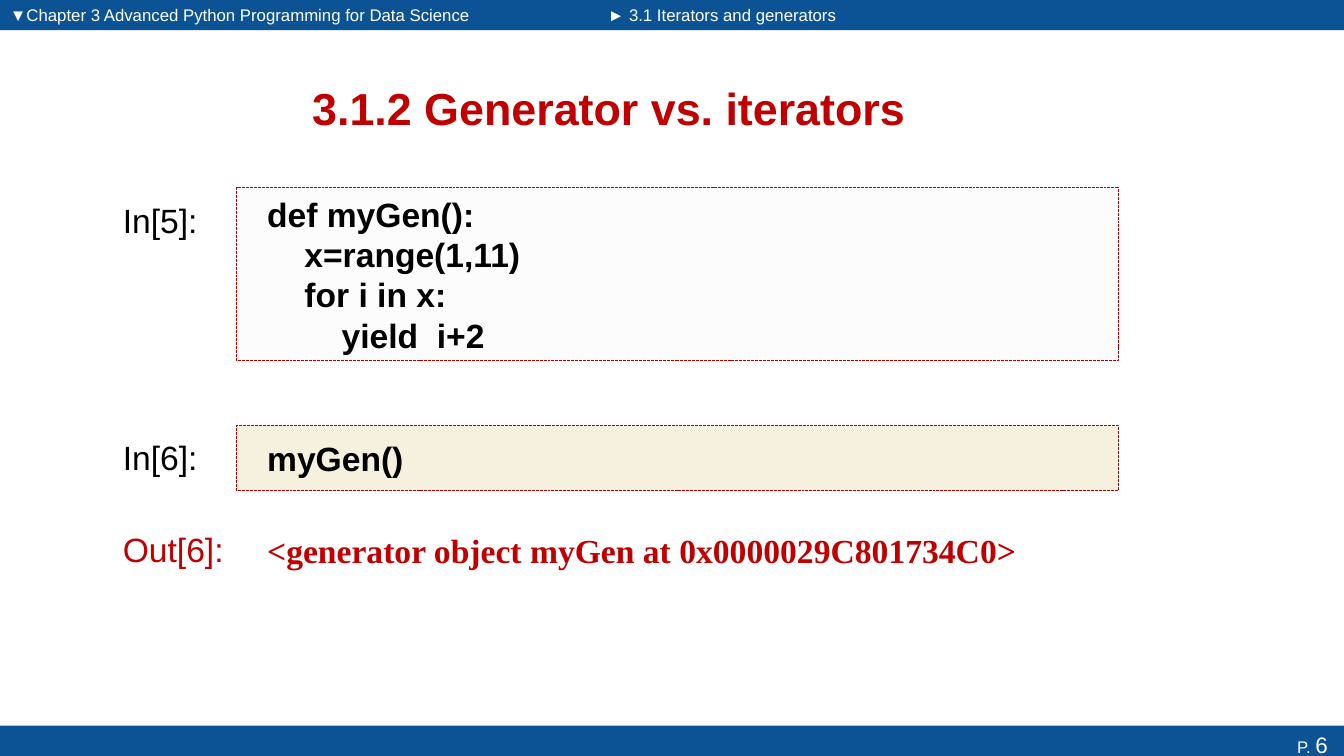
import pptx
import pptx.util
import pptx.dml.color
import pptx.enum.dml
import pptx.enum.shapes
import pptx.enum.text
import pptx.oxml.ns
from lxml import etree

Inches = pptx.util.Inches
Pt = pptx.util.Pt
RGBColor = pptx.dml.color.RGBColor
ALIGN = pptx.enum.text.PP_ALIGN
ANCHOR = pptx.enum.text.MSO_ANCHOR

BLUE = RGBColor(0x0B, 0x53, 0x94)
WHITE = RGBColor(0xFF, 0xFF, 0xFF)
BLACK = RGBColor(0, 0, 0)
RED = RGBColor(0xC0, 0, 0)
EDGE = RGBColor(0xAB, 0, 0)
LILAC = RGBColor(0xF1, 0xEE, 0xF4)
GOLD = RGBColor(0xBF, 0x90, 0)

WIDE = 13.33
SPLIT = 5.93
LEFT = 1.12
CODE_X = 2.35
CODE_W = 8.74


def style(run, size, color, bold=False, face="Arial"):
    run.font.name = face
    run.font.size = Pt(size)
    run.font.color.rgb = color
    run.font.bold = bold


def write(shape, text, size, color, bold=False, face="Arial"):
    frame = shape.text_frame
    frame.word_wrap = True
    frame.text = text
    for para in frame.paragraphs:
        para.alignment = ALIGN.LEFT
        for run in para.runs:
            style(run, size, color, bold, face)


def rect(slide, box, fill):
    shape = slide.shapes.add_shape(
        pptx.enum.shapes.MSO_SHAPE.RECTANGLE, *map(Inches, box))
    shape.shadow.inherit = False
    shape.fill.solid()
    shape.fill.fore_color.rgb = fill
    shape.line.fill.background()
    return shape


def label(slide, box, text, size, color):
    shape = slide.shapes.add_textbox(*map(Inches, box))
    write(shape, text, size, color)


def pad(shape):
    frame = shape.text_frame
    frame.vertical_anchor = ANCHOR.MIDDLE
    frame.margin_left = Inches(0.3)
    frame.margin_right = Inches(0.1)
    frame.margin_top = frame.margin_bottom = Inches(0.05)


def header(slide, box, text, width):
    rect(slide, box, BLUE)
    x, y, _, h = box
    label(slide, (x, y, width, h), text, 12, WHITE)


def footer(slide, box, number):
    bar = rect(slide, box, BLUE)
    frame = bar.text_frame
    frame.vertical_anchor = ANCHOR.TOP
    para = frame.paragraphs[0]
    para.alignment = ALIGN.RIGHT
    for text, size in (("P. ", 12), (number, 16)):
        run = para.add_run()
        run.text = text
        style(run, size, WHITE)


def title(slide, box, text):
    shape = slide.shapes.title
    shape.left, shape.top, shape.width, shape.height = map(Inches, box)
    write(shape, text, 32, RED, True)
    shape.text_frame.vertical_anchor = ANCHOR.MIDDLE
    shape.text_frame.paragraphs[0].alignment = ALIGN.CENTER


def code(slide, top, height, tag, text, fill):
    label(slide, (LEFT, top + 0.07, 1.11, 0.5), tag, 24, BLACK)
    shape = rect(slide, (CODE_X, top, CODE_W, height), fill)
    tint = shape.fill._xPr.find(".//" + pptx.oxml.ns.qn("a:srgbClr"))
    etree.SubElement(tint, pptx.oxml.ns.qn("a:alpha"), val="13000")
    shape.line.color.rgb = EDGE
    shape.line.width = Pt(0.7)
    shape.line.dash_style = pptx.enum.dml.MSO_LINE.SQUARE_DOT
    write(shape, text, 24, BLACK, True)
    pad(shape)


def result(slide, top, height, tag, text):
    label(slide, (LEFT, top + 0.07, 1.35, 0.5), tag, 24, RED)
    shape = slide.shapes.add_textbox(
        *map(Inches, (CODE_X, top, CODE_W, height)))
    write(shape, text, 24, RED, True, "Times New Roman")
    pad(shape)


def main():
    deck = pptx.Presentation()
    deck.slide_width = Inches(WIDE)
    deck.slide_height = Inches(7.5)
    slide = deck.slides.add_slide(deck.slide_layouts.get_by_name("Title Only"))

    header(slide, (0, 0, SPLIT, 0.3),
           "▼Chapter 3 Advanced Python Programming for Data Science", 4.83)
    header(slide, (SPLIT, 0, WIDE - SPLIT, 0.3),
           "► 3.1 Iterators and generators", 2.57)
    footer(slide, (0, 7.2, WIDE, 0.37), "6 ")
    title(slide, (0.68, 0.62, 10.72, 0.9), "3.1.2 Generator vs. iterators")

    lines = ("def myGen():",
             "    x=range(1,11)",
             "    for i in x:",
             "        yield  i+2")
    code(slide, 1.86, 1.72, "In[5]:", "\n".join(lines), LILAC)
    code(slide, 4.22, 0.65, "In[6]:", "myGen()", GOLD)
    result(slide, 5.13, 0.65, "Out[6]:",
           "<generator object myGen at 0x0000029C801734C0>")
    deck.save("out.pptx")


if __name__ == "__main__":
    main()
